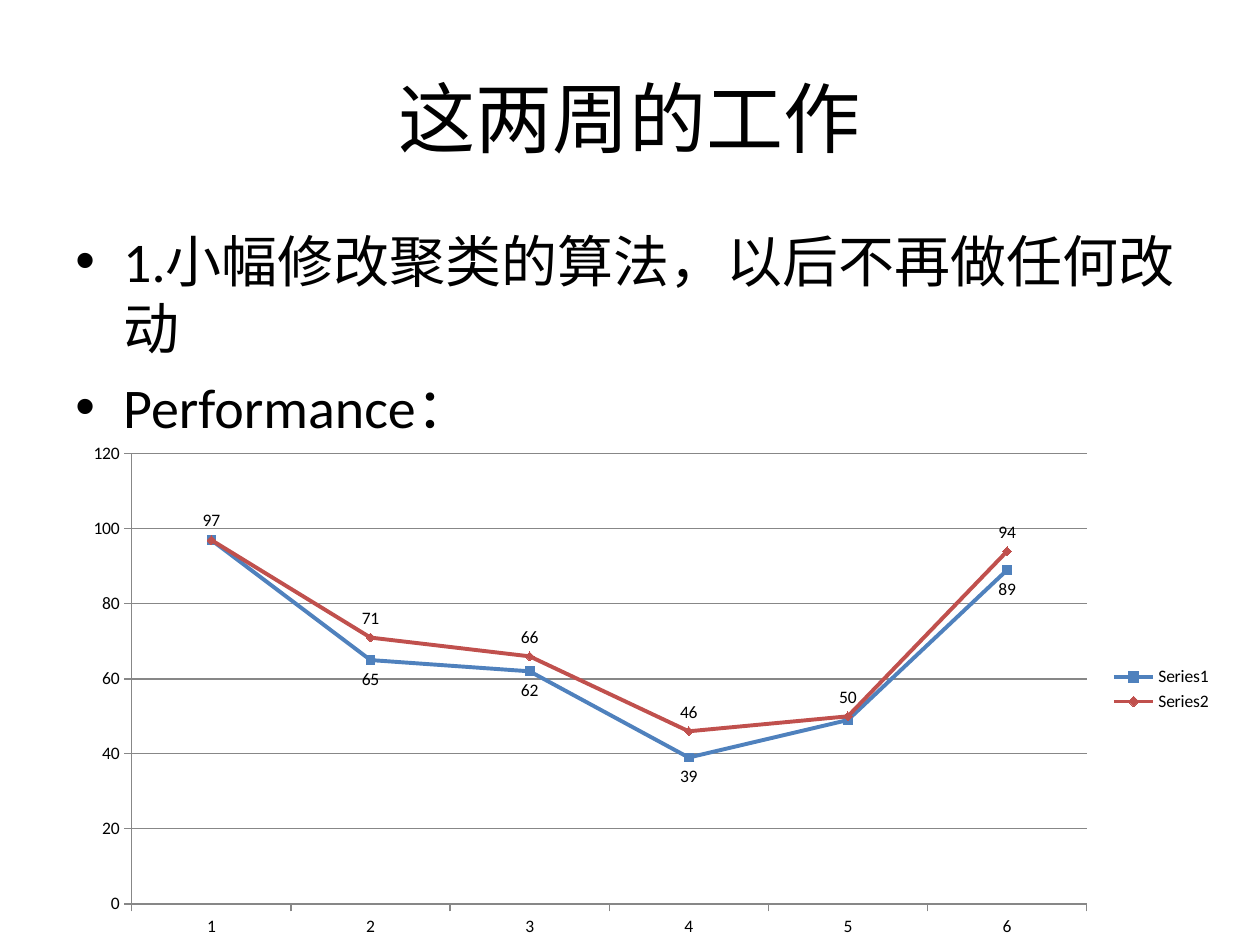
from dataclasses import dataclass

from lxml import etree
from pptx import Presentation
from pptx.chart.data import CategoryChartData
from pptx.dml.color import RGBColor
from pptx.enum import chart as ch, text
from pptx.oxml import parse_xml
from pptx.oxml.ns import nsdecls, qn
from pptx.util import Inches, Pt

FONT = "Calibri"
COLORS = {"text": "000000", "grid": "878787", "blue": "4F81BD", "red": "C0504D"}
ITEMS = ["1.小幅修改聚类的算法，以后不再做任何改动", "Performance："]


@dataclass
class Line:
    name: str
    vals: list[int]
    color: str
    mark: ch.XL_MARKER_STYLE
    side: ch.XL_LABEL_POSITION
    tags: list[int]  # points that show their value


LINES = [
    Line("Series1", [97, 65, 62, 39, 49, 89], "blue", ch.XL_MARKER_STYLE.SQUARE,
         ch.XL_LABEL_POSITION.BELOW, [1, 2, 3, 5]),
    Line("Series2", [97, 71, 66, 46, 50, 94], "red", ch.XL_MARKER_STYLE.DIAMOND,
         ch.XL_LABEL_POSITION.ABOVE, [0, 1, 2, 3, 4, 5]),
]


def rgb(name: str) -> RGBColor:
    return RGBColor.from_string(COLORS[name])


def style(font, size: float) -> None:
    font.name, font.size = FONT, Pt(size)
    font.color.rgb = rgb("text")


def place(shape, left: float, top: float, width: float, height: float) -> None:
    shape.left, shape.top = Inches(left), Inches(top)
    shape.width, shape.height = Inches(width), Inches(height)


def add_item(para, words: str) -> None:
    para.text = words
    para.space_before = Pt(6.4)
    style(para.font, 32)
    props = para._p.get_or_add_pPr()
    props.set("marL", str(Inches(0.38)))
    props.set("indent", str(Inches(-0.38)))
    bullet = [etree.Element(qn("a:buFont"), typeface="Arial"),
              etree.Element(qn("a:buChar"), char="•")]
    at = props.index(props.find(qn("a:defRPr")))
    props[at:at] = bullet


def style_line(series, line: Line) -> None:
    series.smooth = False
    series.format.line.width = Pt(2.25)
    series.format.line.color.rgb = rgb(line.color)
    marker = series.marker
    marker.style, marker.size = line.mark, 5
    marker.format.fill.solid()
    marker.format.fill.fore_color.rgb = rgb(line.color)
    marker.format.line.color.rgb = rgb(line.color)
    series.data_labels.show_value = False
    for i in line.tags:
        series.points[i].data_label.position = line.side


def fix_plot(chart, x: float, y: float, w: float, h: float) -> None:
    area = chart._chartSpace.chart.plotArea
    for old in area.findall(qn("c:layout")):
        area.remove(old)
    vals = "".join(f'<c:{k} val="{v}"/>' for k, v in zip("xywh", (x, y, w, h)))
    area.insert(0, parse_xml(
        f'<c:layout {nsdecls("c")}><c:manualLayout><c:layoutTarget val="inner"/>'
        f'<c:xMode val="edge"/><c:yMode val="edge"/>{vals}'
        '</c:manualLayout></c:layout>'))


def add_graph(slide) -> None:
    data = CategoryChartData()
    data.categories = [str(n) for n in range(1, 7)]
    for line in LINES:
        data.add_series(line.name, line.vals)
    chart = slide.shapes.add_chart(
        ch.XL_CHART_TYPE.LINE_MARKERS, Inches(0.59), Inches(3.44),
        Inches(9.13), Inches(4.06), data).chart
    style(chart.font, 10)
    chart.has_title = False
    chart.has_legend = True
    chart.legend.position = ch.XL_LEGEND_POSITION.RIGHT
    chart.legend.include_in_layout = False
    chart.plots[0].vary_by_categories = False
    for series, line in zip(chart.plots[0].series, LINES):
        style_line(series, line)

    # Axes
    scale = chart.value_axis
    scale.minimum_scale, scale.maximum_scale, scale.major_unit = 0, 120, 20
    scale.has_major_gridlines = True
    chart.category_axis.has_major_gridlines = False
    for axis in (scale, chart.category_axis):
        axis.major_tick_mark = ch.XL_TICK_MARK.OUTSIDE
        axis.minor_tick_mark = ch.XL_TICK_MARK.NONE
    for part in (scale, chart.category_axis, scale.major_gridlines):
        part.format.line.width = Pt(0.75)
        part.format.line.color.rgb = rgb("grid")
    fix_plot(chart, 0.05, 0.04, 0.83, 0.88)


def main() -> None:
    deck = Presentation()
    deck.slide_width, deck.slide_height = Inches(10), Inches(7.5)
    slide = deck.slides.add_slide(deck.slide_layouts[5])

    # Title
    title = slide.shapes.title
    place(title, 0.5, 0.3, 9, 1.25)
    frame = title.text_frame
    frame.text = "这两周的工作"
    frame.vertical_anchor = text.MSO_ANCHOR.MIDDLE
    frame.paragraphs[0].alignment = text.PP_ALIGN.CENTER
    style(frame.paragraphs[0].font, 44)

    # Bullet list
    body = slide.shapes.add_textbox(Inches(0.5), Inches(1.75), Inches(9), Inches(4.95))
    frame = body.text_frame
    frame.word_wrap = True
    for i, words in enumerate(ITEMS):
        add_item(frame.add_paragraph() if i else frame.paragraphs[0], words)

    # Performance chart
    add_graph(slide)
    deck.save("out.pptx")


if __name__ == "__main__":
    main()
